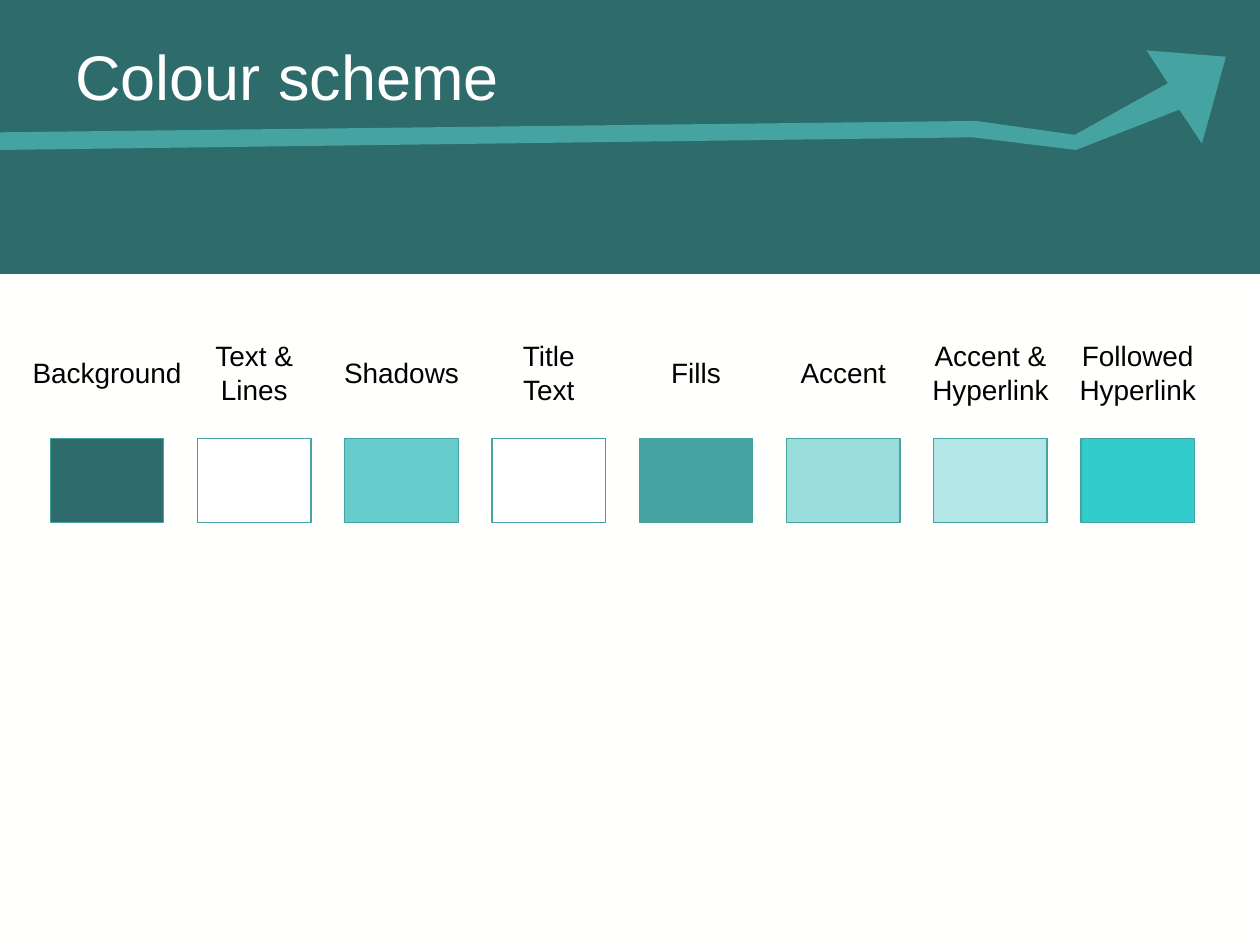
from pptx import Presentation
from pptx.dml.color import RGBColor
from pptx.enum.shapes import MSO_SHAPE
from pptx.enum.text import MSO_ANCHOR, MSO_AUTO_SIZE, PP_ALIGN
from pptx.util import Inches, Pt

# Content: label, label width, swatch colour ("\n" new paragraph, "\v" line break)
TITLE = "Colour scheme"
SWATCHES = [
    ("Background", 1.4, "2E6B6B"),
    ("Text &\nLines", 0.86, "FFFFFF"),
    ("Shadows", 1.13, "66CCCC"),
    ("Title\vText", 0.65, "FFFFFF"),
    ("Fills", 0.63, "45A3A1"),
    ("Accent", 0.9, "9ADEDC"),
    ("Accent &\nHyperlink", 1.16, "B3E6E6"),
    ("Followed\nHyperlink", 1.16, "33CCCC"),
]
ARROW_OUTLINE = [
    (0, 1.19), (7.72, 1.09), (8.54, 1.19), (9.36, 0.87), (9.54, 1.14), (9.73, 0.45),
    (9.1, 0.4), (9.27, 0.66), (8.53, 1.07), (7.75, 0.96), (0, 1.05),
]

THEME = {
    "font": "Arial", "title_size": 36, "label_size": 16, "line_width": 0.75,
    "background": "2E6B6B", "accent": "45A3A1", "panel": "FFFFFE",
    "panel_line": "FFFFFF", "title": "FFFFFF", "label": "000000",
}

# Layout in inches
WIDTH, HEIGHT = 10, 7.5
PANEL_TOP = 2.18
SWATCH_WIDTH, SWATCH_HEIGHT, SWATCH_TOP = 0.9, 0.67, 3.48
FIRST_LEFT, LAST_LEFT = 0.4, 8.58
PITCH = (LAST_LEFT - FIRST_LEFT) / (len(SWATCHES) - 1)
LABEL_MIDDLE = 2.96
LABEL_HEIGHTS = {1: 0.37, 2: 0.64}


def style(shape, fill, line=None):
    shape.shadow.inherit = False
    shape.fill.solid()
    shape.fill.fore_color.rgb = RGBColor.from_string(fill)
    if line:
        shape.line.color.rgb = RGBColor.from_string(line)
        shape.line.width = Pt(THEME["line_width"])
    else:
        shape.line.fill.background()


def add_rectangle(slide, left, top, width, height, fill, line):
    box = [Inches(length) for length in (left, top, width, height)]
    style(slide.shapes.add_shape(MSO_SHAPE.RECTANGLE, *box), fill, line)


def add_text(slide, text, left, top, width, height, *, size, color,
             align=PP_ALIGN.LEFT, anchor=MSO_ANCHOR.TOP, wrap=True, grow=False):
    box = [Inches(length) for length in (left, top, width, height)]
    frame = slide.shapes.add_textbox(*box).text_frame
    frame.word_wrap = wrap
    frame.auto_size = MSO_AUTO_SIZE.SHAPE_TO_FIT_TEXT if grow else MSO_AUTO_SIZE.NONE
    frame.vertical_anchor = anchor
    frame.text = text
    for paragraph in frame.paragraphs:
        paragraph.alignment = align
        for run in paragraph.runs:
            run.font.name = THEME["font"]
            run.font.size = Pt(size)
            run.font.color.rgb = RGBColor.from_string(color)


def main():
    presentation = Presentation()
    presentation.slide_width, presentation.slide_height = Inches(WIDTH), Inches(HEIGHT)
    slide = presentation.slides.add_slide(presentation.slide_layouts[6])
    slide.background.fill.solid()
    slide.background.fill.fore_color.rgb = RGBColor.from_string(THEME["background"])

    # Header arrow and title
    start, *others = [(Inches(x), Inches(y)) for x, y in ARROW_OUTLINE]
    builder = slide.shapes.build_freeform(*start)
    builder.add_line_segments(others, close=True)
    style(builder.convert_to_shape(), THEME["accent"])
    add_text(slide, TITLE, 0.5, 0.28, 9.07, 0.63, size=THEME["title_size"],
             color=THEME["title"], anchor=MSO_ANCHOR.MIDDLE)

    # Body panel
    add_rectangle(slide, 0, PANEL_TOP, WIDTH, HEIGHT - PANEL_TOP,
                  THEME["panel"], THEME["panel_line"])

    # Swatches, each with its label centred above
    for index, (label, label_width, color) in enumerate(SWATCHES):
        left = FIRST_LEFT + index * PITCH
        add_rectangle(slide, left, SWATCH_TOP, SWATCH_WIDTH, SWATCH_HEIGHT,
                      color, THEME["accent"])
        label_height = LABEL_HEIGHTS[len(label.splitlines())]
        add_text(slide, label, left + (SWATCH_WIDTH - label_width) / 2,
                 LABEL_MIDDLE - label_height / 2, label_width, label_height,
                 size=THEME["label_size"], color=THEME["label"],
                 align=PP_ALIGN.CENTER, wrap=False, grow=True)

    presentation.save("out.pptx")


if __name__ == "__main__":
    main()
